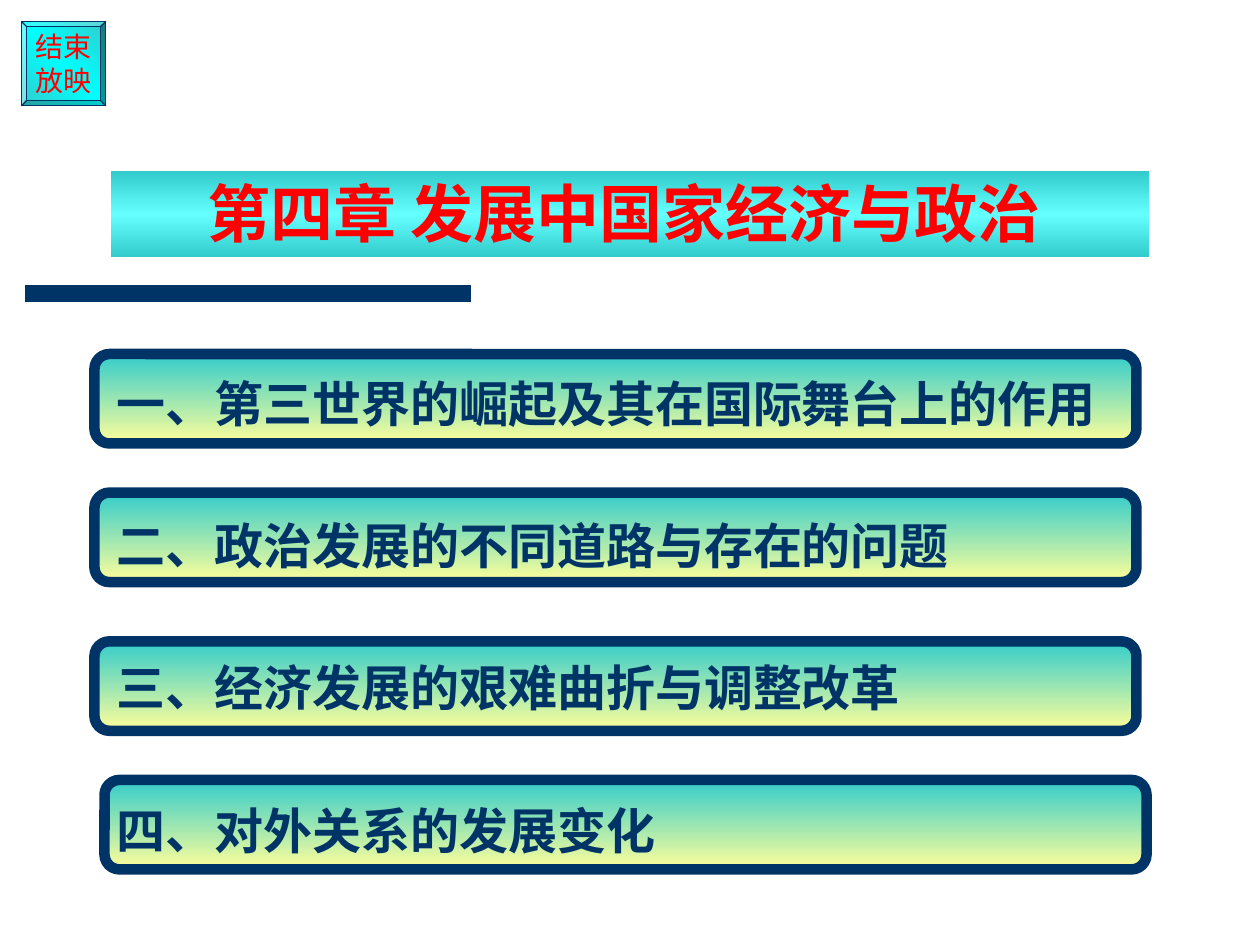
import copy

import pptx
import pptx.util
from pptx.dml.color import RGBColor
from pptx.enum.shapes import MSO_CONNECTOR, MSO_SHAPE
from pptx.enum.text import MSO_ANCHOR, MSO_AUTO_SIZE, PP_ALIGN
from pptx.oxml.ns import qn
from pptx.util import Inches

C = {"navy": "003366", "teal": "33CCCC", "cyan": "00FFFF",
     "aqua": "66FFFF", "yellow": "FFFF99", "red": "FF0000"}
CJK = "Noto Sans CJK SC"


def set_gradient(sp, names, angle):
    """Fill with evenly spaced colour stops; angle is counter-clockwise."""
    sp.fill.gradient()
    sp.fill.gradient_angle = angle
    stops = sp._element.spPr.find(qn("a:gradFill")).find(qn("a:gsLst"))
    for _ in names[2:]:
        stops.append(copy.deepcopy(stops[0]))
    for i, (stop, name) in enumerate(zip(sp.fill.gradient_stops, names)):
        stop.position = i / (len(names) - 1)
        stop.color.rgb = RGBColor.from_string(C[name])


def set_font(p, size, name, color, bold=False):
    p.font.size = pptx.util.Pt(size)
    p.font.bold = bold
    p.font.color.rgb = RGBColor.from_string(C[color])
    p.font.name = name
    rpr = p._p.pPr.find(qn("a:defRPr"))
    ea = rpr.makeelement(qn("a:ea"), {"typeface": CJK})
    rpr.find(qn("a:latin")).addnext(ea)


prs = pptx.Presentation()
prs.slide_width, prs.slide_height = Inches(10), Inches(7.5)
s = prs.slides.add_slide(prs.slide_layouts[5])

# Title banner
sp = s.shapes.title
sp.left, sp.top, sp.width, sp.height = map(Inches, (0.88, 1.36, 8.24, 0.68))
set_gradient(sp, ["teal", "aqua", "teal"], 270)
tf = sp.text_frame
tf.auto_size = MSO_AUTO_SIZE.NONE
tf.vertical_anchor = MSO_ANCHOR.BOTTOM
tf.margin_right = Inches(0.2)
tf.text = "第四章 发展中国家经济与政治"
p = tf.paragraphs[0]
p.alignment = PP_ALIGN.CENTER
p.line_spacing = 0.9
set_font(p, 36, CJK, "red", True)

# Rule under the title
line = s.shapes.add_connector(MSO_CONNECTOR.STRAIGHT, Inches(0.2), Inches(2.33),
                              Inches(3.74), Inches(2.33))
line.line.color.rgb = RGBColor.from_string(C["navy"])
line.line.width = pptx.util.Pt(10)
sppr = line._element.spPr
sppr.append(sppr.makeelement(qn("a:effectLst"), {}))

# End-show button
sp = s.shapes.add_shape(MSO_SHAPE.BEVEL, Inches(0.17), Inches(0.17),
                        Inches(0.67), Inches(0.67))
sp.adjustments[0] = 0.06
sp.shadow.inherit = False
set_gradient(sp, ["teal", "cyan", "teal"], 225)
sp.line.color.rgb = RGBColor.from_string(C["navy"])
sp.line.width = pptx.util.Pt(0.75)
tf = sp.text_frame
tf.word_wrap = False
tf.vertical_anchor = MSO_ANCHOR.MIDDLE
tf.text = "结束\n放映"
for p in tf.paragraphs:
    p.alignment = PP_ALIGN.CENTER
    set_font(p, 16, "Arial", "red")

# Section frames
for left, top in [(0.75, 2.81), (0.75, 3.91), (0.75, 5.09), (0.83, 6.19)]:
    sp = s.shapes.add_shape(MSO_SHAPE.ROUNDED_RECTANGLE, Inches(left), Inches(top),
                            Inches(8.27), Inches(0.71))
    sp.shadow.inherit = False
    set_gradient(sp, ["teal", "yellow"], 270)
    sp.line.color.rgb = RGBColor.from_string(C["navy"])
    sp.line.width = pptx.util.Pt(6)

# Section headings
sections = ["一、第三世界的崛起及其在国际舞台上的作用",
            "二、政治发展的不同道路与存在的问题",
            "三、经济发展的艰难曲折与调整改革",
            "四、对外关系的发展变化"]
tf = s.shapes.add_textbox(Inches(0.83), Inches(2.88), Inches(8.41), Inches(4.07)).text_frame
tf.word_wrap = True
tf.text = "\n".join(sections)
for i, p in enumerate(tf.paragraphs):
    p.line_spacing = pptx.util.Pt(36)
    p.space_before = pptx.util.Pt(45.3 if i else 0)
    set_font(p, 28, CJK, "navy", True)

prs.save("out.pptx")
